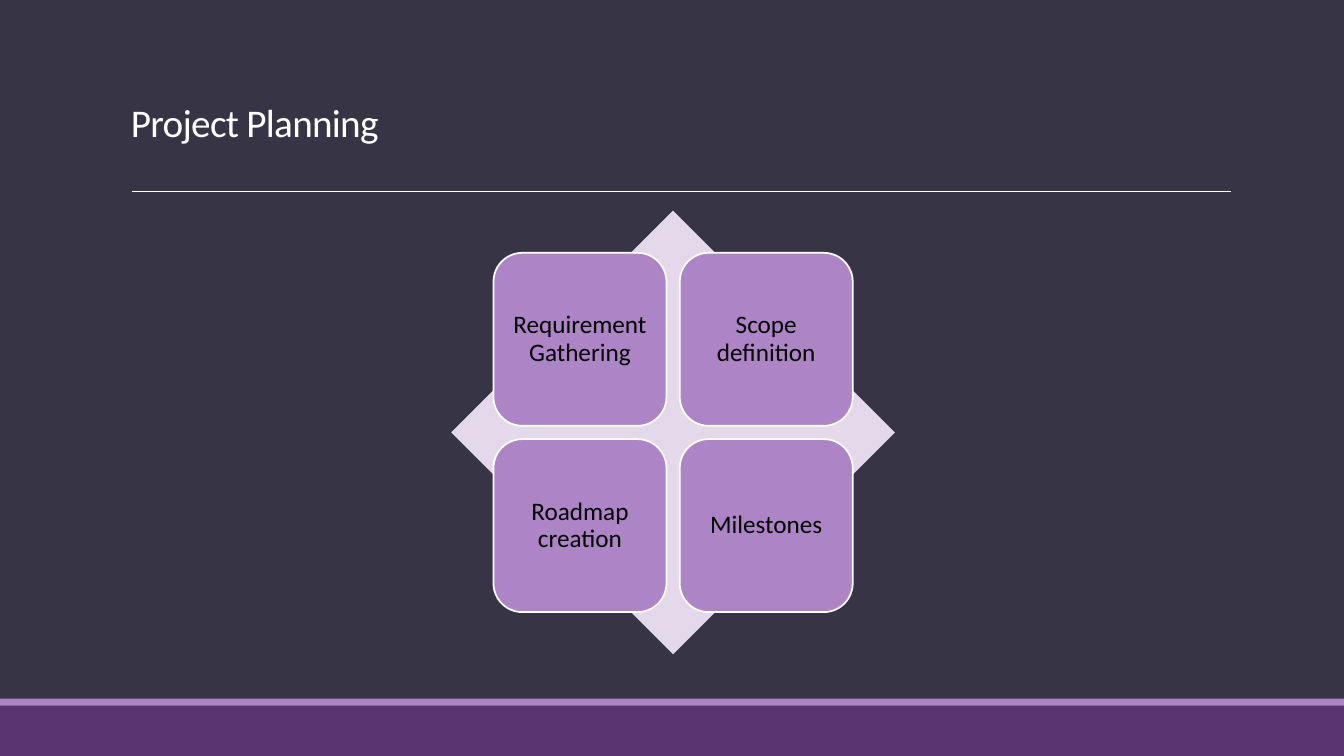
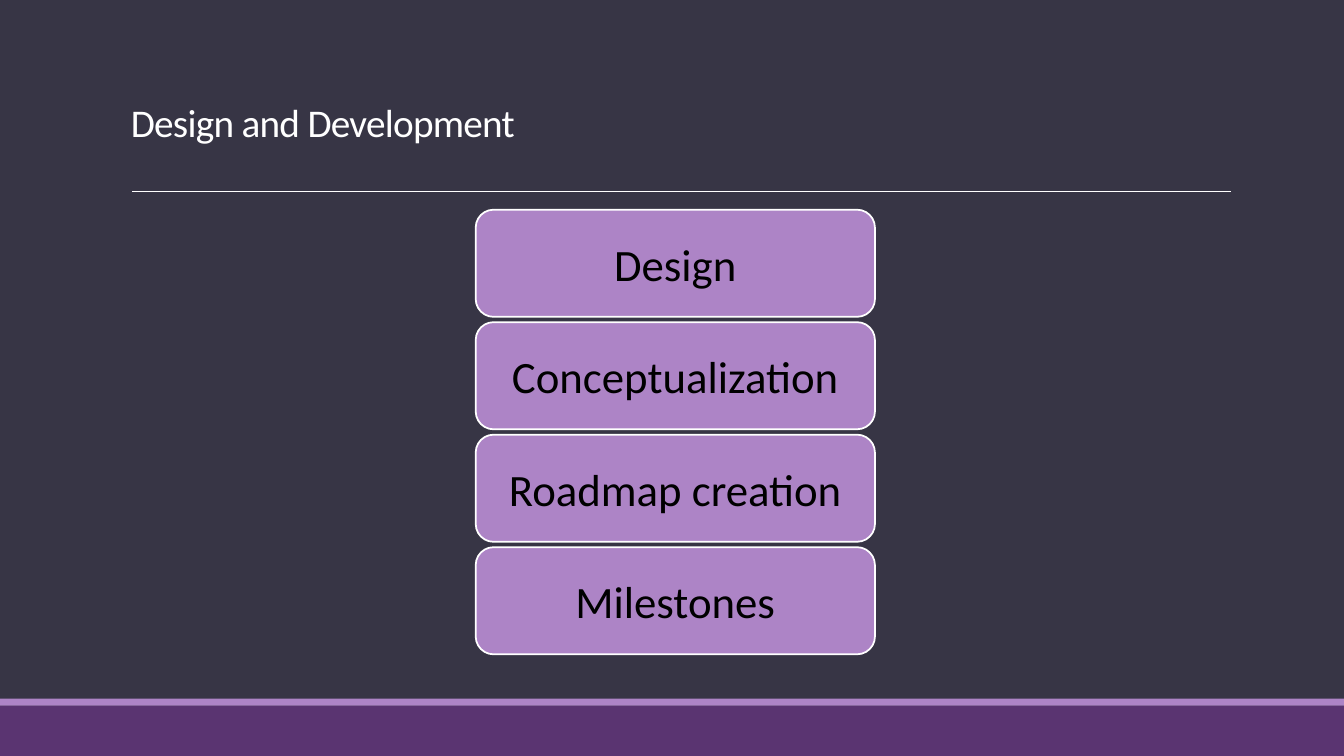
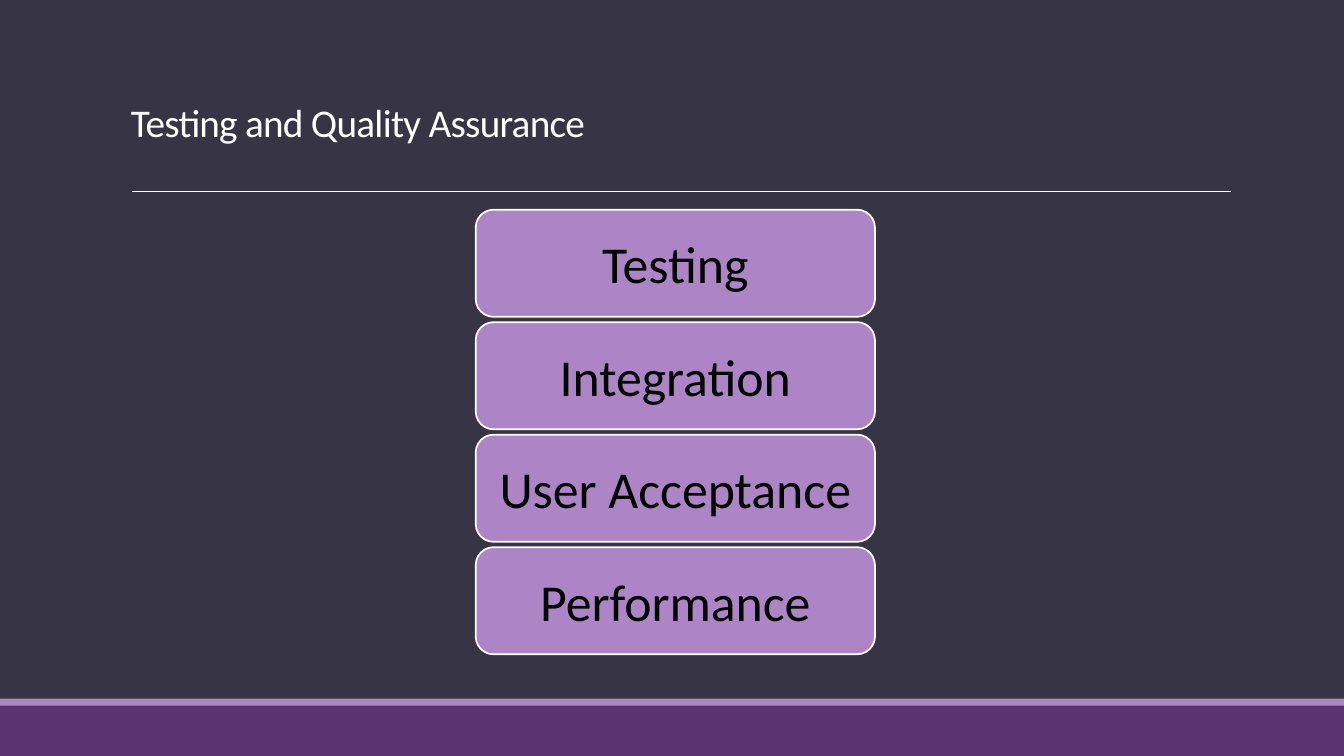
from dataclasses import dataclass
from pptx import Presentation
from pptx.dml.color import RGBColor
from pptx.enum.shapes import MSO_CONNECTOR, MSO_SHAPE
from pptx.enum.text import MSO_ANCHOR, PP_ALIGN
from pptx.oxml.ns import qn
from pptx.util import Pt
from lxml.etree import SubElement


@dataclass(frozen=True)
class Theme:
    """Hold the colours, font and type sizes of the deck."""
    back: str = "373545"
    band: str = "5A3471"
    tile: str = "AD84C6"
    pale: str = "E3D9EA"
    light: str = "FFFFFF"
    dark: str = "000000"
    font: str = "Calibri"
    title: float = 28
    small: float = 18
    medium: float = 32
    large: float = 37


THEME = Theme()
WIDE, HIGH = 960, 540


def color(name):
    """Turn a hex string into a colour."""
    return RGBColor.from_string(name)


def block(slide, kind, box, fill, edge=None):
    """Draw a filled shape, outlined only if an edge colour is given."""
    shape = slide.shapes.add_shape(kind, *map(Pt, box))
    shape.shadow.inherit = False
    shape.fill.solid()
    shape.fill.fore_color.rgb = color(fill)
    if edge:
        shape.line.color.rgb = color(edge)
        shape.line.width = Pt(1.25)
    else:
        shape.line.fill.background()
    return shape


def write(shape, text, size, ink, align, lead, pads, anchor):
    """Set one paragraph of text in a shape."""
    frame = shape.text_frame
    frame.word_wrap = True
    frame.vertical_anchor = anchor
    frame.margin_left, frame.margin_top, frame.margin_right, frame.margin_bottom = map(Pt, pads)
    para = frame.paragraphs[0]
    para.alignment = align
    para.line_spacing = lead
    run = para.add_run()
    run.text = text
    run.font.name = THEME.font
    run.font.size = Pt(size)
    run.font.color.rgb = color(ink)
    return run


def tile(slide, box, text, size, lead):
    """Draw a rounded tile with a centred label."""
    shape = block(slide, MSO_SHAPE.ROUNDED_RECTANGLE, box, THEME.tile, THEME.light)
    write(shape, text, size, THEME.dark, PP_ALIGN.CENTER, lead, (5,) * 4, MSO_ANCHOR.MIDDLE)


def bands(slide, box):
    """Draw the footer band with its thin upper strip."""
    left, top, width, height = box
    strip = 5
    block(slide, MSO_SHAPE.RECTANGLE, (left, top + strip, width, height - strip), THEME.band)
    block(slide, MSO_SHAPE.RECTANGLE, (left, top, width, strip), THEME.tile)


def header(slide, box, text):
    """Place the title and the rule along the bottom of its box."""
    left, top, width, height = box
    base = top + height
    rule = slide.shapes.add_connector(
        MSO_CONNECTOR.STRAIGHT, Pt(left + 8), Pt(base), Pt(left + width + 1), Pt(base))
    rule.line.color.rgb = color(THEME.light)
    rule.line.width = Pt(0.5)
    SubElement(rule._element.spPr, qn("a:effectLst"))
    label = slide.shapes.add_textbox(*map(Pt, box))
    run = write(label, text, THEME.title, THEME.light, PP_ALIGN.LEFT, 0.85,
                (7.2, 3.6, 7.2, 32.6), MSO_ANCHOR.BOTTOM)
    run.font._element.set("spc", "-50")


def matrix(slide, box, labels, size):
    """Lay four tiles two by two over a diamond."""
    left, top, side, _ = box
    block(slide, MSO_SHAPE.DIAMOND, box, THEME.pale)
    edge, cell, pitch = 0.095 * side, 0.39 * side, 0.42 * side
    for index, text in enumerate(labels):
        row, col = divmod(index, 2)
        spot = (left + edge + col * pitch, top + edge + row * pitch, cell, cell)
        tile(slide, spot, text, size, 0.9)


def stack(slide, box, labels, size):
    """Stack tiles with gaps of a twentieth of their height."""
    left, top, width, height = box
    count = len(labels)
    tall = height / (count + 0.05 * (count - 1))
    for index, text in enumerate(labels):
        tile(slide, (left, top + index * tall * 1.05, width, tall), text, size, 1.0)


def main():
    """Build and save the deck."""
    deck = Presentation()
    deck.slide_width, deck.slide_height = Pt(WIDE), Pt(HIGH)
    fill = deck.slide_master.background.fill
    fill.solid()
    fill.fore_color.rgb = color(THEME.back)
    square = (322.4, 150.5, 316.8, 316.8)
    column = (339.8, 149.8, 285.2, 317.6)
    pages = (
        ("Project Planning", matrix, square, THEME.small,
         ("Requirement Gathering", "Scope definition", "Roadmap creation", "Milestones")),
        ("Design and Development", stack, column, THEME.medium,
         ("Design", "Conceptualization", "Roadmap creation", "Milestones")),
        ("Testing and Quality Assurance", stack, column, THEME.large,
         ("Testing", "Integration", "User Acceptance", "Performance")),
    )
    for title, draw, box, size, labels in pages:
        slide = deck.slides.add_slide(deck.slide_layouts[6])
        bands(slide, (0, 499, WIDE, HIGH - 499))
        header(slide, (86.4, 22.3, 792, 114.5), title)
        draw(slide, box, labels, size)
    deck.save("out.pptx")


if __name__ == "__main__":
    main()
